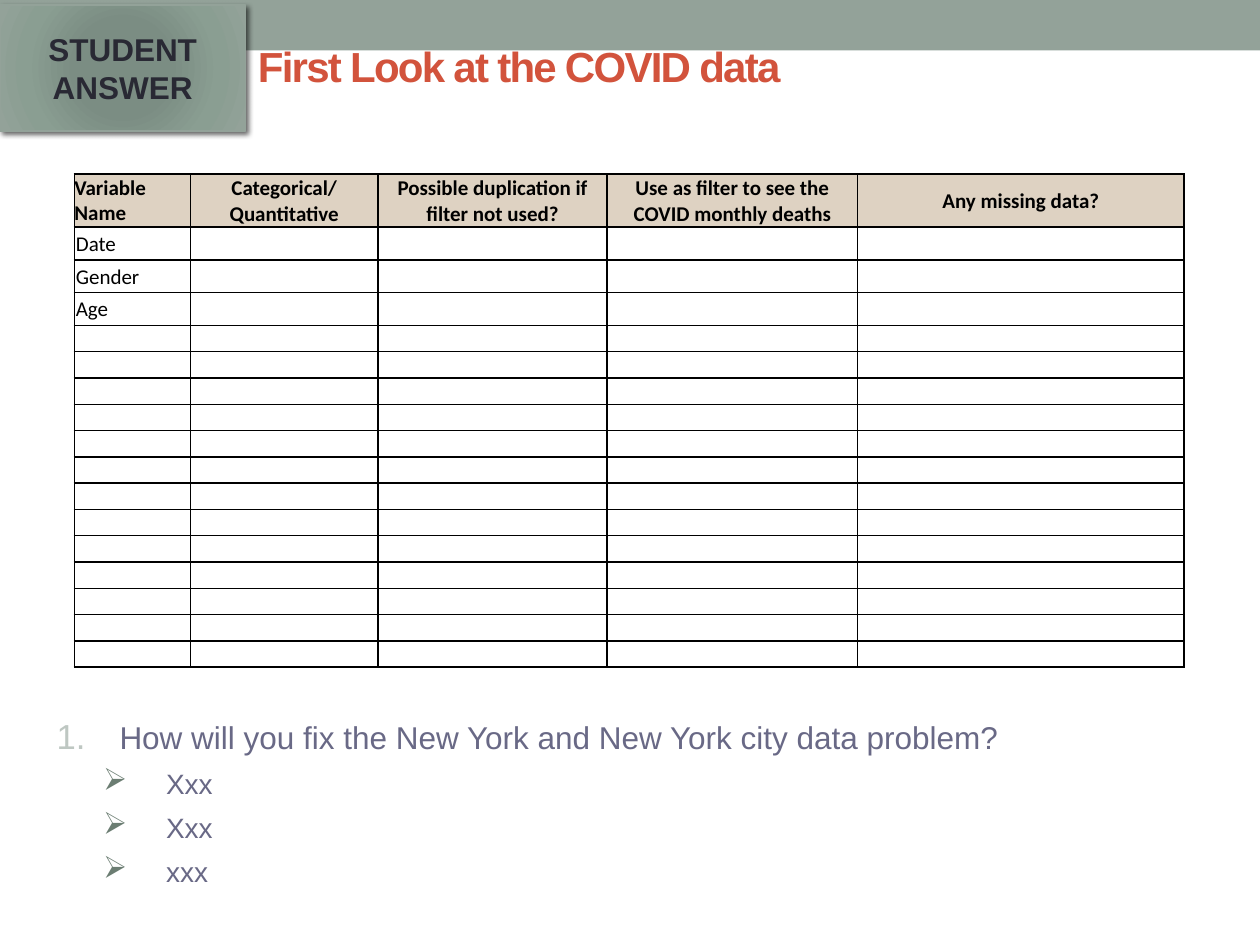
from lxml import etree
from pptx import Presentation
from pptx.dml.color import RGBColor
from pptx.enum.shapes import MSO_SHAPE
from pptx.enum.text import MSO_ANCHOR, PP_ALIGN
from pptx.oxml import parse_xml
from pptx.oxml.ns import qn
from pptx.util import Cm, Pt

RECT = MSO_SHAPE.RECTANGLE
MIDDLE = MSO_ANCHOR.MIDDLE
LEFT, CENTER = PP_ALIGN.LEFT, PP_ALIGN.CENTER
NS = 'xmlns:a="http://schemas.openxmlformats.org/drawingml/2006/main"'

SAGE = "93A299"
HEADERS = ["Variable Name", "Categorical/Quantitative",
           "Possible duplication if filter not used?",
           "Use as filter to see the COVID monthly deaths", "Any missing data?"]
VARIABLES = ["Date", "Gender", "Age"]
EMPTY_ROWS = 13
COL_WIDTHS = [2.34, 3.78, 4.62, 5.05, 6.58]
ROW_HEIGHTS = [1.07] + [0.66] * len(VARIABLES) + [0.53] * EMPTY_ROWS
BADGE_STOPS = [(0, "7B8E82"), (34, "7B8D83"), (70, "8A9E92"), (100, SAGE)]
ANSWERS = ["Xxx", "Xxx", "xxx"]


def color(value):
    """Return the colour for a hex string."""
    return RGBColor.from_string(value)


def set_font(p, size, hex_color, bold=False, name="Arial"):
    """Set the font of a whole paragraph."""
    p.font.name = name
    p.font.size = Pt(size)
    p.font.bold = bold
    p.font.color.rgb = color(hex_color)


def add_box(slide, box):
    """Add a rectangle without shadow at a box given in centimetres."""
    s = slide.shapes.add_shape(RECT, *map(Cm, box))
    s.shadow.inherit = False
    return s


def add_text_frame(slide, box):
    """Add a wrapping text box and return its text frame."""
    tf = slide.shapes.add_textbox(*map(Cm, box)).text_frame
    tf.word_wrap = True
    return tf


def add_bar(slide, box):
    """Add the plain band along the top."""
    s = add_box(slide, box)
    s.fill.solid()
    s.fill.fore_color.rgb = color(SAGE)
    s.line.fill.background()


def add_title(slide, box):
    """Add the tightly spaced title."""
    tf = add_text_frame(slide, box)
    tf.vertical_anchor = MIDDLE
    p = tf.paragraphs[0]
    r = p.add_run()
    r.text = "First Look at the COVID data"
    set_font(p, 24, "D2533C", bold=True)
    r.font._element.set("spc", "-100")


def add_badge(slide, box):
    """Add the shaded badge with its soft shadow."""
    s = add_box(slide, box)
    stops = "".join(f'<a:gs pos="{pos * 1000}"><a:srgbClr val="{c}"/></a:gs>'
                    for pos, c in BADGE_STOPS)
    sp_pr = s._element.spPr
    sp_pr.insert(2, parse_xml(
        f'<a:gradFill {NS}><a:gsLst>{stops}</a:gsLst><a:path path="circle">'
        '<a:fillToRect l="100000" t="100000" r="100000" b="100000"/>'
        '</a:path></a:gradFill>'))
    s.line.color.rgb = color(SAGE)
    s.line.width = Pt(0.75)
    sp_pr.find(qn("a:effectLst")).append(parse_xml(
        f'<a:outerShdw {NS} blurRad="{Pt(3)}" dist="{Pt(2)}" dir="2700000">'
        '<a:srgbClr val="000000"><a:alpha val="60000"/></a:srgbClr></a:outerShdw>'))
    tf = s.text_frame
    tf.word_wrap = True
    tf.vertical_anchor = MIDDLE
    p = tf.paragraphs[0]
    p.text = "STUDENT ANSWER"
    p.alignment = CENTER
    set_font(p, 18, "292934", bold=True)


def add_borders(cell):
    """Draw black one-point borders round a cell."""
    tc_pr = cell._tc.get_or_add_tcPr()
    for side in "LRTB":
        tc_pr.append(parse_xml(
            f'<a:ln{side} {NS} w="{Pt(1)}"><a:solidFill><a:srgbClr val="000000"/>'
            f'</a:solidFill></a:ln{side}>'))


def style_cell(cell, text, header, align):
    """Fill in one cell and set its look."""
    add_borders(cell)
    if header:
        cell.fill.solid()
        cell.fill.fore_color.rgb = color("DED2C2")
    else:
        cell.fill.background()
    inset = 0 if header and align == LEFT else Cm(0.03)
    cell.margin_left = cell.margin_right = cell.margin_top = inset
    cell.margin_bottom = 0
    cell.vertical_anchor = MIDDLE
    p = cell.text_frame.paragraphs[0]
    if text:
        p.text = text
        p.alignment = align
        set_font(p, 12, "000000", bold=header, name="Calibri")
    else:
        etree.SubElement(p._p, qn("a:endParaRPr"), sz="1000")


def add_variable_table(slide, left, top):
    """Add the table of variables with its blank answer cells."""
    width, height = sum(COL_WIDTHS), sum(ROW_HEIGHTS)
    table = slide.shapes.add_table(len(ROW_HEIGHTS), len(COL_WIDTHS),
                                   Cm(left), Cm(top), Cm(width), Cm(height)).table
    table.first_row = table.horz_banding = False
    for column, w in zip(table.columns, COL_WIDTHS):
        column.width = Cm(w)
    first_column = HEADERS[:1] + VARIABLES + [""] * EMPTY_ROWS
    for i, row in enumerate(table.rows):
        row.height = Cm(ROW_HEIGHTS[i])
        for j, cell in enumerate(row.cells):
            text = first_column[i] if j == 0 else HEADERS[j] if i == 0 else ""
            style_cell(cell, text, i == 0, CENTER if j else LEFT)


def add_bullet(p, indent, hex_color, bullet):
    """Give a paragraph a hanging bullet."""
    p_pr = p._p.get_or_add_pPr()
    p_pr.set("marL", str(Cm(indent)))
    p_pr.set("indent", str(Cm(-1.27)))
    parts = (f'<a:buClr {NS}><a:srgbClr val="{hex_color}"/></a:buClr>',
             f'<a:buSzPct {NS} val="110000"/>', bullet)
    at = len(p_pr.findall(qn("a:lnSpc")) + p_pr.findall(qn("a:spcBef")))
    for k, part in enumerate(parts):
        p_pr.insert(at + k, parse_xml(part))


def add_question(slide, box):
    """Add the numbered question and its answer lines."""
    tf = add_text_frame(slide, box)
    p = tf.paragraphs[0]
    p.text = "How will you fix the New York and New York city data problem?"
    set_font(p, 18, "696986")
    add_bullet(p, 1.27, "BEC7C2", f'<a:buAutoNum {NS} type="arabicPeriod"/>')
    for answer in ANSWERS:
        p = tf.add_paragraph()
        p.text = answer
        p.level = 1
        p.space_before = Pt(6)
        set_font(p, 16, "696986")
        add_bullet(p, 2.21, "6B7D72", f'<a:buChar {NS} char="➢"/>')


def main():
    """Build the slide and save it."""
    prs = Presentation()
    prs.slide_width, prs.slide_height = Cm(25.4), Cm(19.05)
    slide = prs.slides.add_slide(prs.slide_layouts[6])
    add_bar(slide, (0, 0, 25.4, 1.02))
    add_title(slide, (4.95, 0.46, 20.45, 1.73))
    add_variable_table(slide, 1.5, 3.51)
    add_badge(slide, (0, 0.1, 4.95, 2.54))
    add_question(slide, (0.89, 14.35, 21.26, 3.8))
    prs.save("out.pptx")


if __name__ == "__main__":
    main()
